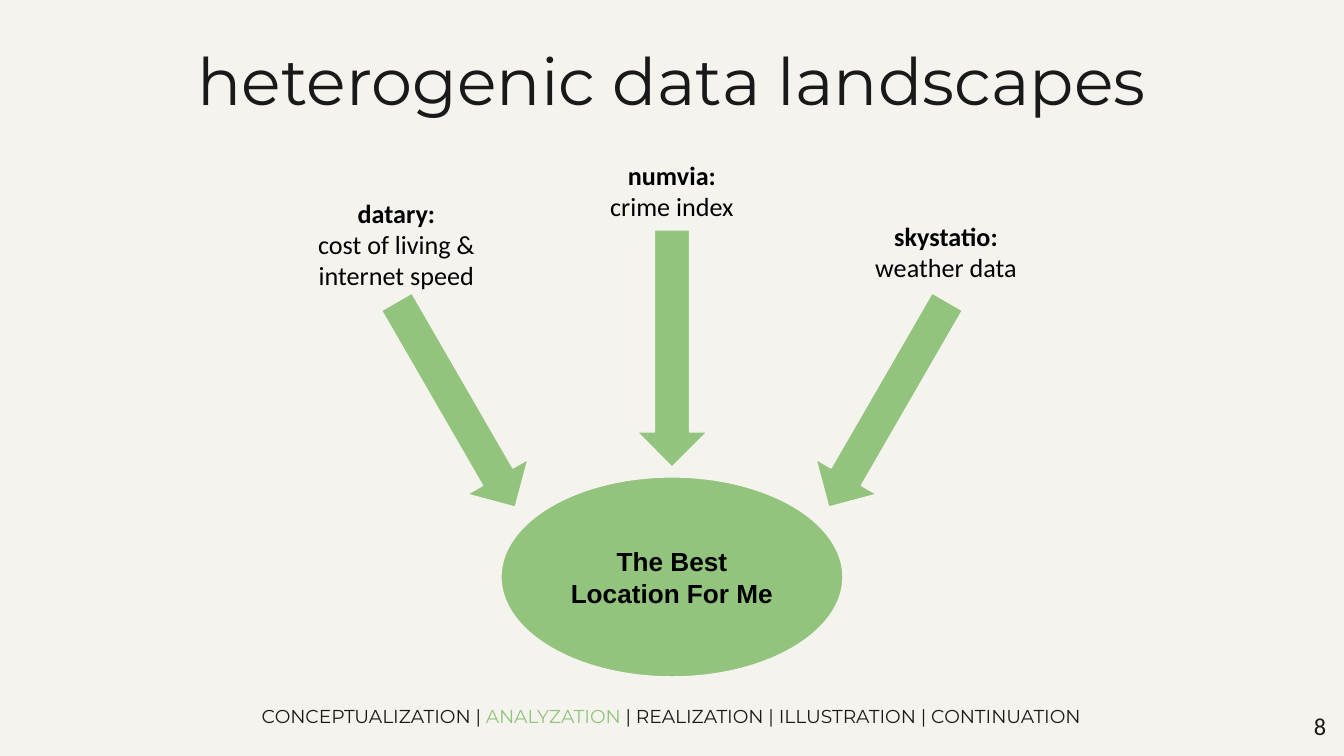
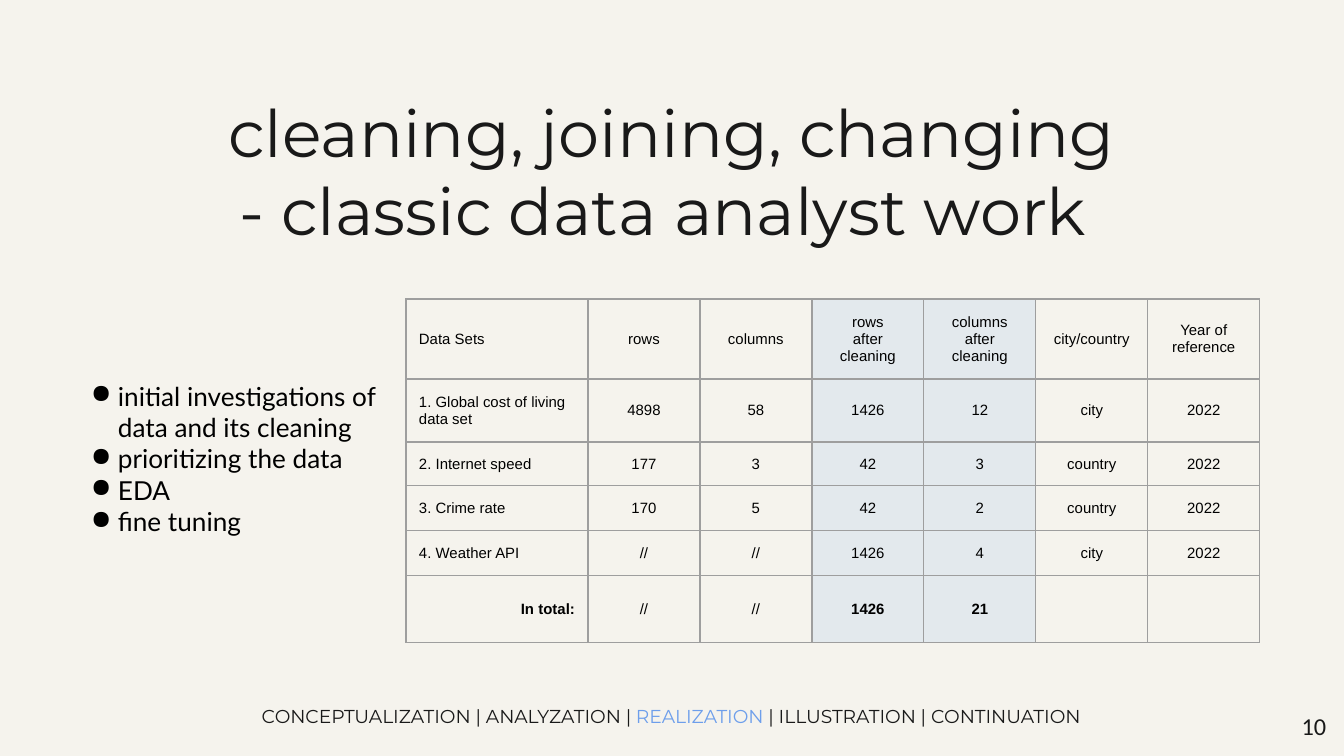
from lxml import etree
from pptx import Presentation
from pptx import util as u
from pptx.dml.color import RGBColor
from pptx.enum import shapes, text
from pptx.oxml import ns

PAPER = RGBColor(0xF5, 0xF3, 0xED)
INK = RGBColor(0x19, 0x19, 0x19)
BLACK = RGBColor(0, 0, 0)
GREEN = RGBColor(0x93, 0xC4, 0x7D)
BLUE = RGBColor(0x6D, 0x9E, 0xEB)
TINT = RGBColor(0xE3, 0xE9, 0xED)
RULE = RGBColor(0x9E, 0x9E, 0x9E)

LEFT, MID, RIGHT = text.PP_ALIGN.LEFT, text.PP_ALIGN.CENTER, text.PP_ALIGN.RIGHT
TOP, CENTER = text.MSO_ANCHOR.TOP, text.MSO_ANCHOR.MIDDLE
WIDE, HIGH, PAD = 1344, 756, 13

# Content
STAGES = ["CONCEPTUALIZATION", "ANALYZATION", "REALIZATION",
          "ILLUSTRATION", "CONTINUATION"]
GOAL = "The Best Location For Me"
# name, details, label box
FEEDS = [
    ("datary:", ["cost of living &", "internet speed"], (235, 184, 323, 122)),
    ("numvia:", ["crime index"], (501, 146, 342, 90)),
    ("skystatio:", ["weather data"], (775, 207, 342, 90)),
]
STEPS = ["initial investigations of\ndata and its cleaning",
         "prioritizing the data", "EDA", "fine tuning"]
ROWS = [
    ["Data Sets", "rows", "columns", "rows\nafter cleaning",
     "columns\nafter cleaning", "city/country", "Year of reference"],
    ["1. Global cost of living data set", "4898", "58", "1426", "12", "city", "2022"],
    ["2. Internet speed", "177", "3", "42", "3", "country", "2022"],
    ["3. Crime rate", "170", "5", "42", "2", "country", "2022"],
    ["4. Weather API", "//", "//", "1426", "4", "city", "2022"],
    ["In total:", "//", "//", "1426", "21", "", ""],
]
COLS = [182] + [112] * 6
TALLS = [80, 63, 44, 45, 45, 67]
CLEAN = (3, 4)  # columns with counts after cleaning


def px(n):
    return u.Emu(round(n * 914400 / 134.4))


def write(frame, paras, font, size, align=MID, bullet=False):
    """Fill a frame; each paragraph is a list of (text, colour, bold) runs."""
    for i, runs in enumerate(paras):
        para = frame.paragraphs[0] if i == 0 else frame.add_paragraph()
        para.alignment = align
        if bullet:
            mark(para)
        for words, color, bold in runs:
            for j, part in enumerate(words.split("\n")):
                if j:
                    para.add_line_break()
                run = para.add_run()
                run.text = part
                run.font.name, run.font.size = font, u.Pt(size)
                run.font.bold, run.font.color.rgb = bold, color


def mark(para):
    props = para._p.get_or_add_pPr()
    props.set("marL", str(px(27)))
    props.set("indent", str(px(-34)))
    tint = etree.SubElement(props, ns.qn("a:buClr"))
    etree.SubElement(tint, ns.qn("a:srgbClr"), val=str(BLACK))
    etree.SubElement(props, ns.qn("a:buChar"), char="●")


def setup(frame, anchor):
    frame.word_wrap = True
    frame.vertical_anchor = anchor
    frame.margin_left = frame.margin_right = px(PAD)
    frame.margin_top = frame.margin_bottom = px(PAD)
    return frame


def label(slide, box, paras, font, size, align=MID, anchor=TOP, bullet=False):
    frame = slide.shapes.add_textbox(*map(px, box)).text_frame
    write(setup(frame, anchor), paras, font, size, align, bullet)


def solid(slide, kind, box, turn=0):
    shape = slide.shapes.add_shape(kind, *map(px, box))
    shape.shadow.inherit = False
    shape.fill.solid()
    shape.fill.fore_color.rgb = GREEN
    shape.line.color.rgb = PAPER
    shape.line.width = u.Pt(0.75)
    shape.rotation = turn
    return shape


def base(deck, lines, box, stage, color, number):
    """Add a slide with its title, stage footer and page number."""
    slide = deck.slides.add_slide(deck.slide_layouts[6])
    slide.background.fill.solid()
    slide.background.fill.fore_color.rgb = PAPER
    label(slide, box, [[(line, INK, False)] for line in lines], "Montserrat", 35)
    runs = []
    for name in STAGES:
        if runs:
            runs.append((" | ", INK, False))
        runs.append((name, color if name == stage else INK, False))
    label(slide, (220, 677, 902, 78), [runs], "Montserrat", 10, anchor=CENTER)
    label(slide, (1258, 698, 81, 58), [[(str(number), INK, False)]],
          "Calibri", 13, RIGHT)
    return slide


def edge(cell):
    props = cell._tc.get_or_add_tcPr()
    for i, side in enumerate(("lnL", "lnR", "lnT", "lnB")):
        line = etree.Element(ns.qn("a:" + side), w=str(u.Pt(0.75)))
        fill = etree.SubElement(line, ns.qn("a:solidFill"))
        etree.SubElement(fill, ns.qn("a:srgbClr"), val=str(RULE))
        props.insert(i, line)


def sources(deck):
    slide = base(deck, ["heterogenic data landscapes"], (0, 27, WIDE, 85),
                 "ANALYZATION", GREEN, 8)
    # Goal
    goal = solid(slide, shapes.MSO_SHAPE.OVAL, (501, 477, 342, 200))
    write(setup(goal.text_frame, CENTER), [[(GOAL, BLACK, True)]], "Arial", 14)
    # Arrows fan out evenly around the middle
    for side in (-1, 0, 1):
        left = WIDE // 2 - 35 + side * 216
        top = 286 if side else 230
        solid(slide, shapes.MSO_SHAPE.DOWN_ARROW, (left, top, 70, 237), side * 30 % 360)
    # Data sources
    for name, notes, box in FEEDS:
        paras = [[(name, BLACK, True)]] + [[(note, BLACK, False)] for note in notes]
        label(slide, box, paras, "Calibri", 14)


def cleaning(deck):
    slide = base(deck, ["cleaning, joining, changing", "- classic data analyst work "],
                 (66, 79, 1211, 163), "REALIZATION", BLUE, 10)
    # Steps
    label(slide, (78, 367, 563, 185), [[(step, BLACK, False)] for step in STEPS],
          "Lato", 14, LEFT, bullet=True)
    # Data set sizes
    grid = slide.shapes.add_table(len(ROWS), len(COLS), px(406), px(299),
                                  px(sum(COLS)), px(sum(TALLS))).table
    grid.first_row = grid.horz_banding = False
    for col, size in zip(grid.columns, COLS):
        col.width = px(size)
    for row, size in zip(grid.rows, TALLS):
        row.height = px(size)
    for r, row in enumerate(ROWS):
        total = r == len(ROWS) - 1
        for c, words in enumerate(row):
            cell = grid.cell(r, c)
            cell.vertical_anchor = CENTER
            cell.margin_left = cell.margin_right = px(PAD)
            cell.margin_top = cell.margin_bottom = px(PAD)
            if c in CLEAN:
                cell.fill.solid()
                cell.fill.fore_color.rgb = TINT
            else:
                cell.fill.background()
            edge(cell)
            if words:
                align = MID if c else RIGHT if total else LEFT
                bold = total and (c == 0 or c in CLEAN)
                write(cell.text_frame, [[(words, BLACK, bold)]], "Arial", 8, align)


def main():
    deck = Presentation()
    deck.slide_width, deck.slide_height = px(WIDE), px(HIGH)
    sources(deck)
    cleaning(deck)
    deck.save("out.pptx")


if __name__ == "__main__":
    main()
